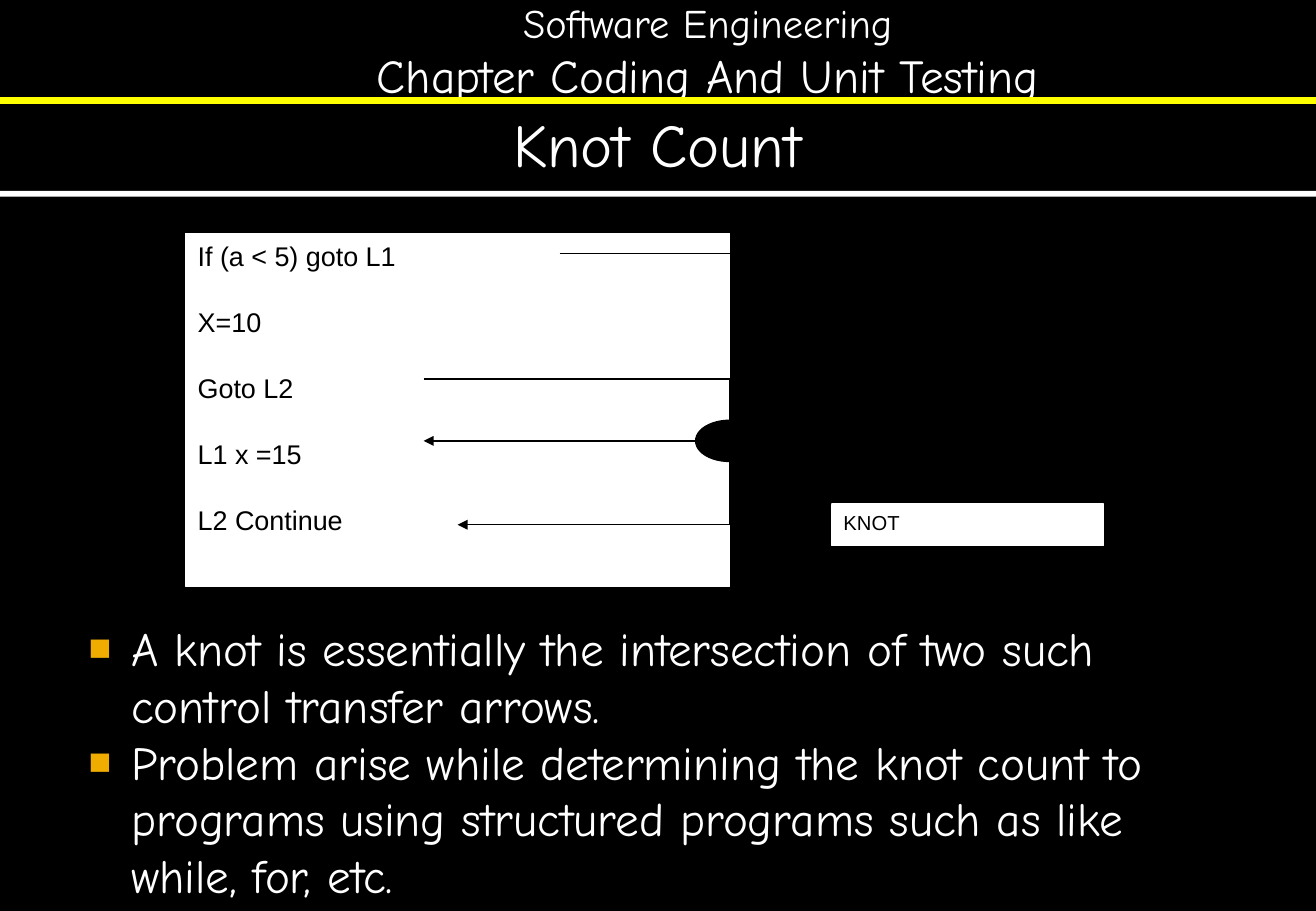
from lxml import etree
from pptx import Presentation
from pptx import util as u
from pptx.dml import color
from pptx.enum import shapes, text
from pptx.oxml import ns

HEADER = [("Software Engineering", 24), ("Chapter Coding And Unit Testing", 28)]
TITLE = "Knot Count"
CODE = ["If (a < 5) goto L1", "X=10", "Goto L2", "L1 x =15", "L2 Continue"]
KNOT_LABEL = "KNOT"
POINTS = [
    "A knot is essentially the intersection of two such control transfer arrows.",
    "Problem arise while determining the knot count to programs using "
    "structured programs such as like while, for, etc.",
]
# Corners of each control transfer; the last leg carries the arrowhead.
TRANSFERS = [
    [(4.61, 2.09), (7.68, 2.09), (7.68, 3.63), (3.49, 3.63)],
    [(3.49, 3.12), (6.01, 3.12), (6.01, 4.32), (3.77, 4.32)],
]
KNOT_POINTER = [(6.29, 3.81), (6.85, 4.15)]

WIDTH, HEIGHT = 10.84, 7.5
HEADER_END, BAND_END = 0.83, 1.57
THEME = {
    "black": "000000", "white": "FFFFFF", "yellow": "FFFF00", "bullet": "F0AD00",
    "heading": "Comic Neue", "code": "Arial",
    "title_size": 36, "point_size": 28, "code_size": 16, "label_size": 12,
    "rule": 4, "thin": 0.75, "code_gap": 20,
}


def rgb(name):
    return color.RGBColor.from_string(THEME[name])


def add_block(page, kind, place, fill, line=None):
    block = page.shapes.add_shape(kind, *map(u.Inches, place))
    block.shadow.inherit = False
    block.fill.solid()
    block.fill.fore_color.rgb = rgb(fill)
    if line:
        block.line.color.rgb = rgb(line)
        block.line.width = u.Pt(THEME["thin"])
    else:
        block.line.fill.background()
    return block


def add_line(page, start, end, ink, width, arrow=False):
    line = page.shapes.add_connector(
        shapes.MSO_CONNECTOR.STRAIGHT, *map(u.Inches, (*start, *end)))
    line.line.color.rgb = rgb(ink)
    line.line.width = u.Pt(THEME[width])
    if arrow:
        etree.SubElement(line.line._get_or_add_ln(), ns.qn("a:tailEnd"), type="triangle")
    etree.SubElement(line._element.spPr, ns.qn("a:effectLst"))


def add_route(page, corners):
    """Join the corners with straight legs and point the last one."""
    for index, (start, end) in enumerate(zip(corners, corners[1:]), 2):
        add_line(page, start, end, "black", "thin", arrow=index == len(corners))


def add_bullet(para):
    properties = para._p.get_or_add_pPr()
    properties.set("marL", str(u.Inches(0.48)))
    properties.set("indent", str(u.Inches(-0.35)))
    tint = etree.SubElement(properties, ns.qn("a:buClr"))
    etree.SubElement(tint, ns.qn("a:srgbClr"), val=THEME["bullet"])
    etree.SubElement(properties, ns.qn("a:buSzPct"), val="80000")
    etree.SubElement(properties, ns.qn("a:buFont"), typeface="Arial")
    etree.SubElement(properties, ns.qn("a:buChar"), char="■")


def write(box, lines, font, ink, align="LEFT", anchor="TOP", gap=0,
          bullets=False, left=0.1, top=0.05):
    """Fill a box with (words, size) lines."""
    frame = box.text_frame
    layout = {
        "word_wrap": True, "vertical_anchor": text.MSO_ANCHOR[anchor],
        "margin_left": u.Inches(left), "margin_top": u.Inches(top),
        "margin_right": u.Inches(0.1), "margin_bottom": u.Inches(0.05),
    }
    for name, value in layout.items():
        setattr(frame, name, value)
    for index, (words, size) in enumerate(lines):
        para = frame.add_paragraph() if index else frame.paragraphs[0]
        para.alignment = text.PP_ALIGN[align]
        if index and gap:
            para.space_before = u.Pt(gap)
        if bullets:
            add_bullet(para)
        span = para.add_run()
        span.text = words
        for name, value in {"name": THEME[font], "size": u.Pt(size)}.items():
            setattr(span.font, name, value)
        span.font.color.rgb = rgb(ink)


def add_text(page, place, lines, **style):
    box = page.shapes.add_textbox(*map(u.Inches, place))
    write(box, lines, "heading", "white", **style)


def sized(lines, size):
    return [(words, THEME[size]) for words in lines]


def add_heading(page):
    rect = shapes.MSO_SHAPE.RECTANGLE
    add_block(page, rect, (0, BAND_END, WIDTH, 0.05), "white")
    add_block(page, rect, (0, 0, WIDTH, BAND_END), "black")
    add_text(page, (0.83, 0, 10, HEADER_END), HEADER, align="CENTER", anchor="MIDDLE")
    add_line(page, (0, HEADER_END), (WIDTH, HEADER_END), "yellow", "rule")
    add_text(page, (0.54, HEADER_END, 9.75, 0.75), sized([TITLE], "title_size"),
             align="CENTER")


def add_diagram(page):
    rect, oval = shapes.MSO_SHAPE.RECTANGLE, shapes.MSO_SHAPE.OVAL
    code = add_block(page, rect, (1.53, 1.92, 4.48, 2.91), "white", "white")
    write(code, sized(CODE, "code_size"), "code", "black", gap=THEME["code_gap"])
    for corners in TRANSFERS:
        add_route(page, corners)
    add_block(page, oval, (5.73, 3.46, 0.56, 0.34), "black", "black")
    label = add_block(page, rect, (6.85, 4.15, 2.24, 0.34), "white", "white")
    write(label, sized([KNOT_LABEL], "label_size"), "code", "black")
    add_route(page, KNOT_POINTER)


def main():
    deck = Presentation()
    deck.slide_width, deck.slide_height = u.Inches(WIDTH), u.Inches(HEIGHT)
    page = deck.slides.add_slide(deck.slide_layouts[6])
    page.background.fill.solid()
    page.background.fill.fore_color.rgb = rgb("black")
    add_heading(page)
    add_text(page, (0.54, 5, 9.75, 2.5), sized(POINTS, "point_size"),
             bullets=True, left=0.06, top=0.1)
    add_diagram(page)
    deck.save("out.pptx")


if __name__ == "__main__":
    main()
